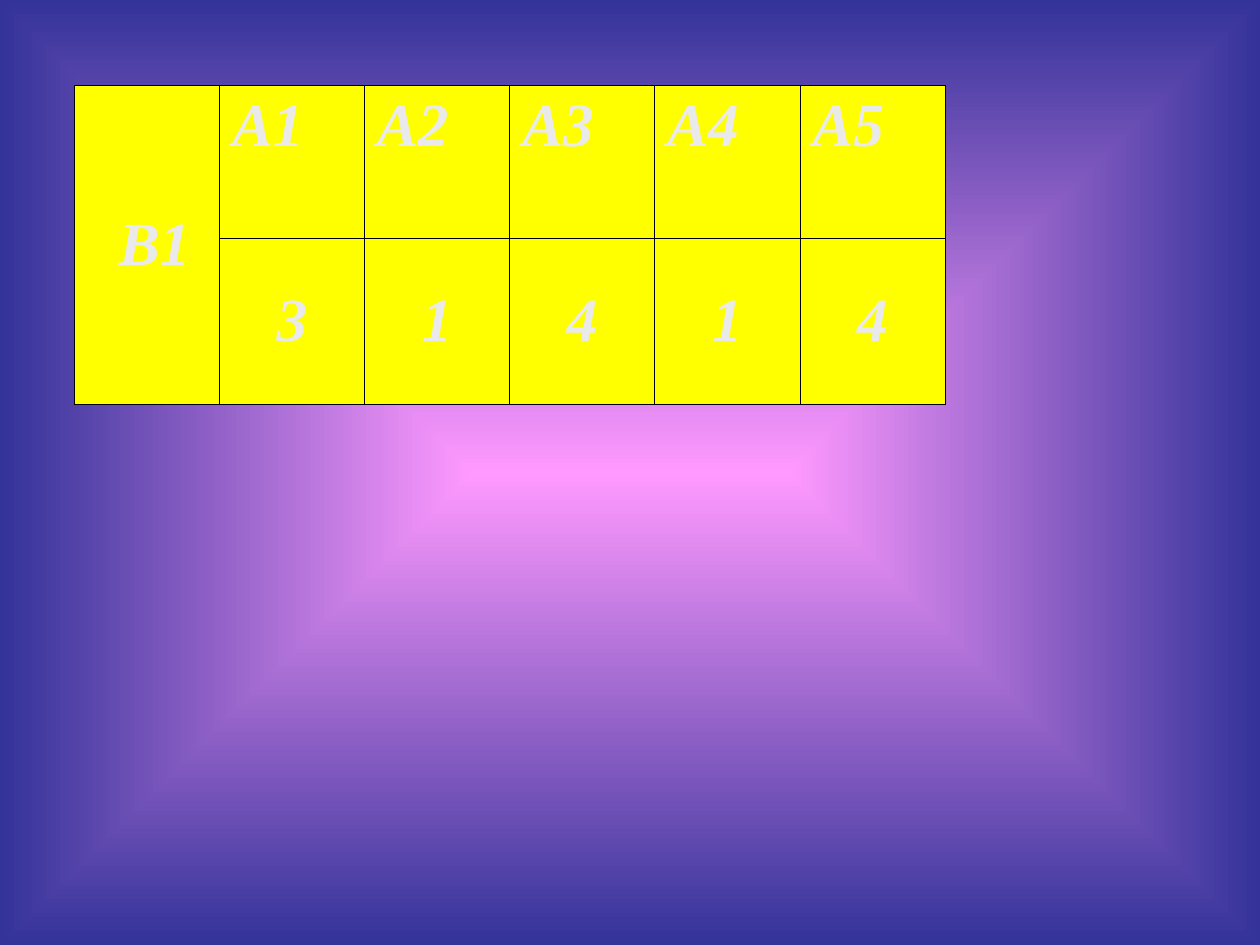
import pptx
import pptx.dml.color
import pptx.enum.text
import pptx.oxml
import pptx.oxml.ns
import pptx.util
from pptx.util import Inches

COLORS = {
    "center": "FF99FF",
    "edge": "333399",
    "cell": "FFFF00",
    "text": "EAEAEA",
    "border": "000000",
}
FACTOR = " В1"
LEVELS = ["А1", "А2", "А3", "А4", "А5"]
VALUES = ["3", "1", "4", "1", "4"]


def rgb(name):
    return pptx.dml.color.RGBColor.from_string(COLORS[name])


class SlideBuilder:
    font_name = "Times New Roman"
    font_size = pptx.util.Pt(35)
    border_width = pptx.util.Pt(0.45)

    def __init__(self, slide):
        self.slide = slide

    def background(self):
        """Fill the background with a gradient running from the centre to the edges."""
        fill = self.slide.background.fill
        fill.gradient()
        for stop, position, color in zip(fill.gradient_stops, (0, 1), ("center", "edge")):
            stop.position = position
            stop.color.rgb = rgb(color)
        gradient = next(self.slide.element.iter(pptx.oxml.ns.qn("a:gradFill")))
        linear = gradient.find(pptx.oxml.ns.qn("a:lin"))
        gradient.replace(linear, pptx.oxml.parse_xml(
            f'<a:path {pptx.oxml.ns.nsdecls("a")} path="rect">'
            '<a:fillToRect l="50000" t="50000" r="50000" b="50000"/></a:path>'))

    def table(self, rows, left, top, col_width, row_heights):
        columns = len(rows[0])
        table = self.slide.shapes.add_table(
            len(rows), columns, left, top, col_width * columns, sum(row_heights)).table
        table.first_row = table.horz_banding = False
        for column in table.columns:
            column.width = col_width
        for row, height, texts in zip(table.rows, row_heights, rows):
            row.height = height
            for cell, text in zip(row.cells, texts):
                self.cell(cell, text, centered=text not in LEVELS)
        table.cell(0, 0).merge(table.cell(len(rows) - 1, 0))

    def cell(self, cell, text, centered):
        cell.fill.solid()
        cell.fill.fore_color.rgb = rgb("cell")
        self.borders(cell)
        cell.text_frame.text = text
        paragraph = cell.text_frame.paragraphs[0]
        if centered:
            cell.vertical_anchor = pptx.enum.text.MSO_ANCHOR.MIDDLE
            paragraph.alignment = pptx.enum.text.PP_ALIGN.CENTER
        for run in paragraph.runs:
            run.font.name = self.font_name
            run.font.size = self.font_size
            run.font.bold = run.font.italic = True
            run.font.color.rgb = rgb("text")

    def borders(self, cell):
        properties = cell._tc.get_or_add_tcPr()
        for index, side in enumerate(("lnL", "lnR", "lnT", "lnB")):
            properties.insert(index, pptx.oxml.parse_xml(
                f'<a:{side} {pptx.oxml.ns.nsdecls("a")} w="{self.border_width}">'
                f'<a:solidFill><a:srgbClr val="{COLORS["border"]}"/></a:solidFill></a:{side}>'))


def main():
    presentation = pptx.Presentation()
    presentation.slide_width = Inches(10)
    presentation.slide_height = Inches(7.5)
    builder = SlideBuilder(presentation.slides.add_slide(presentation.slide_layouts[6]))
    builder.background()
    builder.table(
        [[FACTOR, *LEVELS], ["", *VALUES]],
        left=Inches(0.59), top=Inches(0.68),
        col_width=Inches(6.91) // 6, row_heights=[Inches(1.21), Inches(1.32)])
    presentation.save("out.pptx")


if __name__ == "__main__":
    main()
